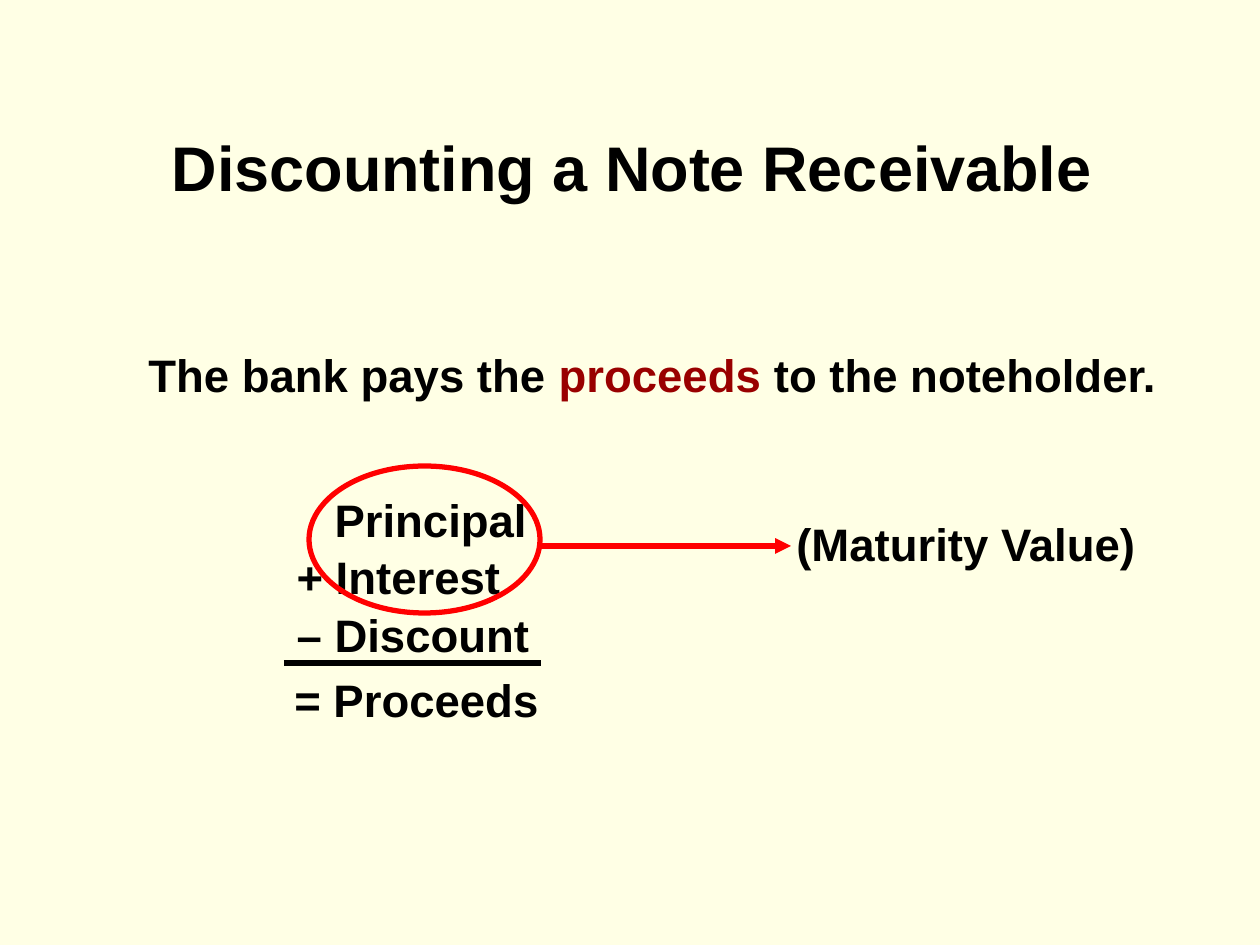
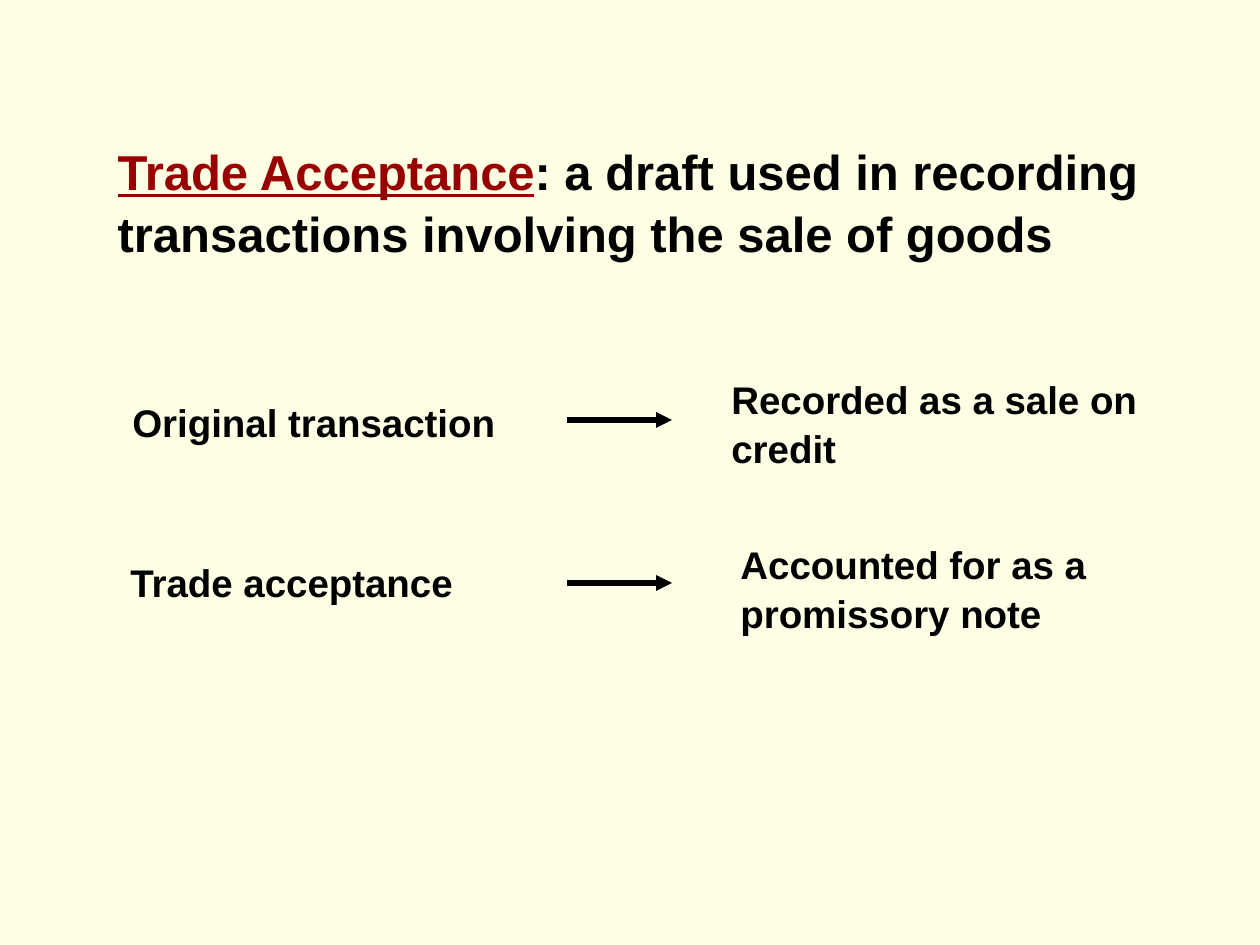
from dataclasses import dataclass

from lxml import etree
from pptx import Presentation
from pptx.dml.color import RGBColor
from pptx.enum.shapes import MSO_CONNECTOR, MSO_SHAPE
from pptx.enum.text import MSO_ANCHOR, MSO_AUTO_SIZE, PP_ALIGN
from pptx.oxml.ns import qn
from pptx.util import Inches, Pt

STRAIGHT = MSO_CONNECTOR.STRAIGHT
OVAL = MSO_SHAPE.OVAL
TOP = MSO_ANCHOR.TOP
NO_FIT = MSO_AUTO_SIZE.NONE
LEFT, CENTER = PP_ALIGN.LEFT, PP_ALIGN.CENTER
TITLE_AND_CONTENT, TITLE_ONLY = 1, 5
PIXEL = Inches(1) / 126


@dataclass(frozen=True)
class Theme:
    """Colours, font and sizes shared by the slides."""

    font: str = "Arial"
    background: RGBColor = RGBColor(0xFF, 0xFF, 0xE5)
    ink: RGBColor = RGBColor(0, 0, 0)
    term: RGBColor = RGBColor(0x99, 0, 0)
    highlight: RGBColor = RGBColor(0xFF, 0, 0)
    title_size: int = 36
    definition_size: int = 28
    body_size: int = 26
    label_size: int = 22
    line_width: int = 3
    line_spacing: float = 1.05


def px(length):
    """Turn pixels into EMU."""
    return round(length * PIXEL)


class Deck:
    """Holds the style and the current slide and draws each kind of element."""

    def __init__(self, theme):
        """Start an empty presentation with the shared background."""
        self.theme = theme
        self.presentation = Presentation()
        self.presentation.slide_width = Inches(10)
        self.presentation.slide_height = Inches(7.5)
        fill = self.presentation.slide_master.background.fill
        fill.solid()
        fill.fore_color.rgb = theme.background
        self.slide = None

    def new_slide(self, layout):
        """Add a slide and make it current."""
        layouts = self.presentation.slide_layouts
        self.slide = self.presentation.slides.add_slide(layouts[layout])

    def fill_text(self, shape, box, lines, size, align=LEFT, wrap=True):
        """Place a shape and fill it; text between asterisks is a key term."""
        shape.left, shape.top, shape.width, shape.height = map(px, box)
        frame = shape.text_frame
        frame.text = "\n".join(line.replace("*", "") for line in lines)
        frame.word_wrap = wrap
        frame.auto_size = NO_FIT
        frame.vertical_anchor = TOP
        for paragraph, line in zip(frame.paragraphs, lines):
            paragraph.alignment = align
            paragraph.line_spacing = self.theme.line_spacing
            paragraph.space_before = Pt(0)
            if "*" in line:
                paragraph.clear()
                for position, part in enumerate(line.split("*")):
                    if part:
                        run = paragraph.add_run()
                        run.text = part
                        self.format_run(run, size, position % 2 == 1)
            else:
                self.format_run(paragraph.runs[0], size)
        return frame

    def format_run(self, run, size, is_term=False):
        """Give a run the shared font, and the accent colour to a term."""
        run.font.name = self.theme.font
        run.font.size = Pt(size)
        run.font.bold = True
        run.font.color.rgb = self.theme.term if is_term else self.theme.ink

    def title(self, box, text, size, align=LEFT, wrap=True):
        """Fill the title placeholder."""
        shape = self.slide.shapes.title
        return self.fill_text(shape, box, [text], size, align, wrap)

    def body(self, box, lines, indents):
        """Fill the body placeholder with unbulleted, indented lines."""
        shape = self.slide.placeholders[1]
        frame = self.fill_text(shape, box, lines, self.theme.body_size)
        for paragraph, indent in zip(frame.paragraphs, indents):
            properties = paragraph._p.get_or_add_pPr()
            properties.set("marL", str(px(indent)))
            properties.set("indent", "0")
            etree.SubElement(properties, qn("a:buNone"))

    def text(self, box, text, size):
        """Add a text box."""
        shape = self.slide.shapes.add_textbox(0, 0, 0, 0)
        self.fill_text(shape, box, [text], size)

    def ring(self, box, color):
        """Add an unfilled ellipse."""
        shape = self.slide.shapes.add_shape(OVAL, *map(px, box))
        shape.shadow.inherit = False
        shape.fill.background()
        shape.line.color.rgb = color
        shape.line.width = Pt(self.theme.line_width)

    def line(self, left, right, y, color, arrow=False):
        """Add a horizontal line, with an arrowhead on request."""
        ends = map(px, (left, y, right, y))
        connector = self.slide.shapes.add_connector(STRAIGHT, *ends)
        connector.line.color.rgb = color
        connector.line.width = Pt(self.theme.line_width)
        if arrow:
            outline = connector.line._get_or_add_ln()
            etree.SubElement(outline, qn("a:tailEnd"), type="triangle")
        etree.SubElement(connector._element.spPr, qn("a:effectLst"))


def add_discounting_slide(deck):
    """Show how the proceeds of a discounted note are worked out."""
    theme = deck.theme
    deck.new_slide(TITLE_AND_CONTENT)
    deck.title((159, 118, 946, 88), "Discounting a Note Receivable",
               theme.title_size, CENTER, wrap=False)
    deck.text((136, 338, 1061, 68),
              "The bank pays the *proceeds* to the noteholder.",
              theme.body_size)
    deck.body((284, 483, 315, 176),
              ["Principal", "+ Interest", "– Discount"], (38, 0, 0))
    deck.text((784, 507, 440, 68), "(Maturity Value)", theme.body_size)
    deck.ring((309, 466, 231, 147), theme.highlight)
    deck.line(540, 791, 546, theme.highlight, arrow=True)
    deck.line(284, 541, 663, theme.ink)
    deck.text((282, 663, 315, 68), "= Proceeds", theme.body_size)


def add_trade_acceptance_slide(deck):
    """Define a trade acceptance and show how each step is recorded."""
    theme = deck.theme
    deck.new_slide(TITLE_ONLY)
    frame = deck.title(
        (105, 132, 1075, 131),
        "*Trade Acceptance*: a draft used in recording transactions "
        "involving the sale of goods", theme.definition_size)
    frame.paragraphs[0].runs[0].font.underline = True
    steps = [
        ("Original transaction", 120, 391,
         "Recorded as a sale on credit", 719, 368, 420),
        ("Trade acceptance", 118, 551,
         "Accounted for as a promissory note", 728, 533, 583),
    ]
    for step, step_x, step_y, record, record_x, record_y, arrow_y in steps:
        deck.text((step_x, step_y, 451, 59), step, theme.label_size)
        deck.line(567, 672, arrow_y, theme.ink, arrow=True)
        deck.text((record_x, record_y, 459, 106), record, theme.label_size)


def main():
    """Build and save the slides."""
    deck = Deck(Theme())
    add_discounting_slide(deck)
    add_trade_acceptance_slide(deck)
    deck.presentation.save("out.pptx")


if __name__ == "__main__":
    main()
